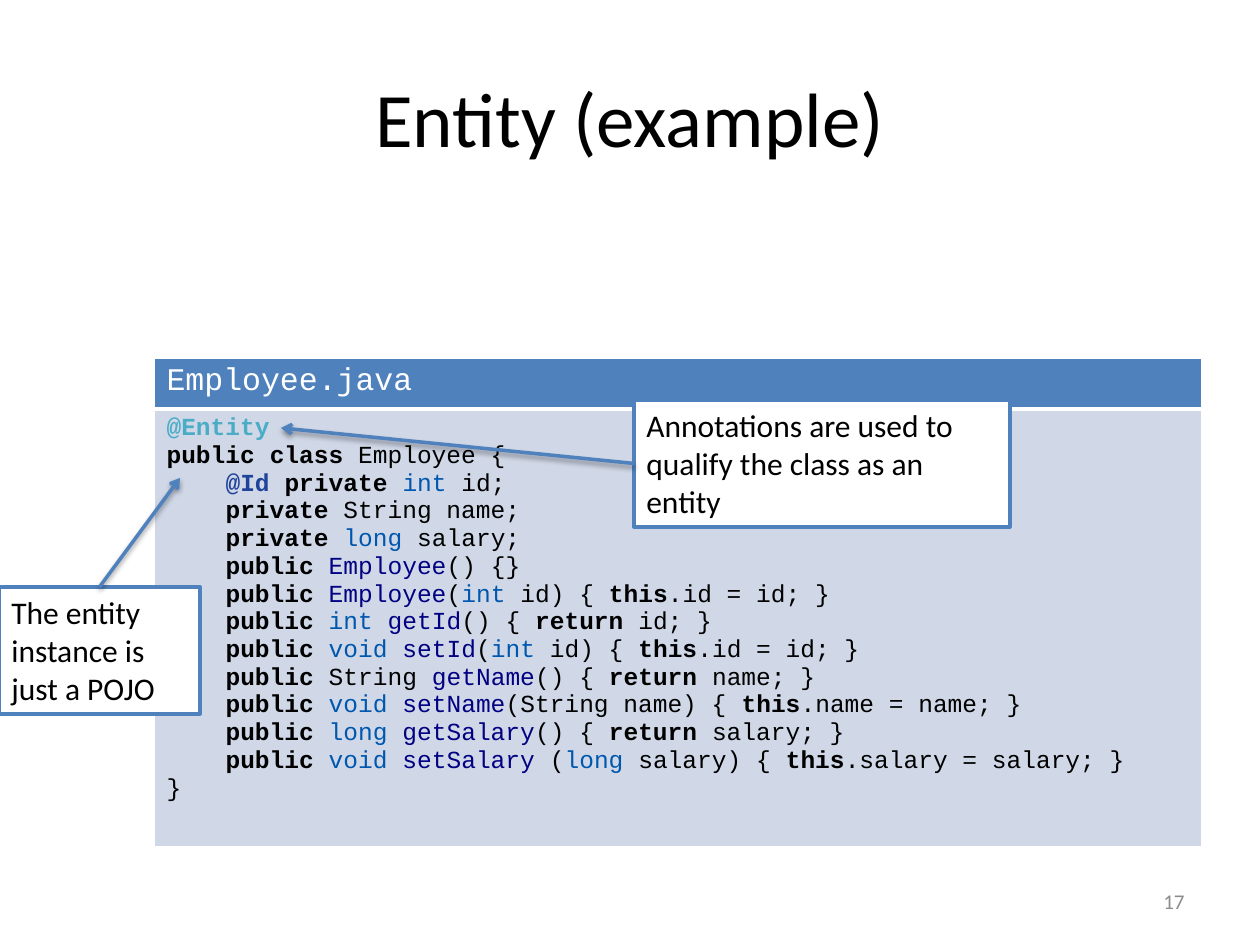
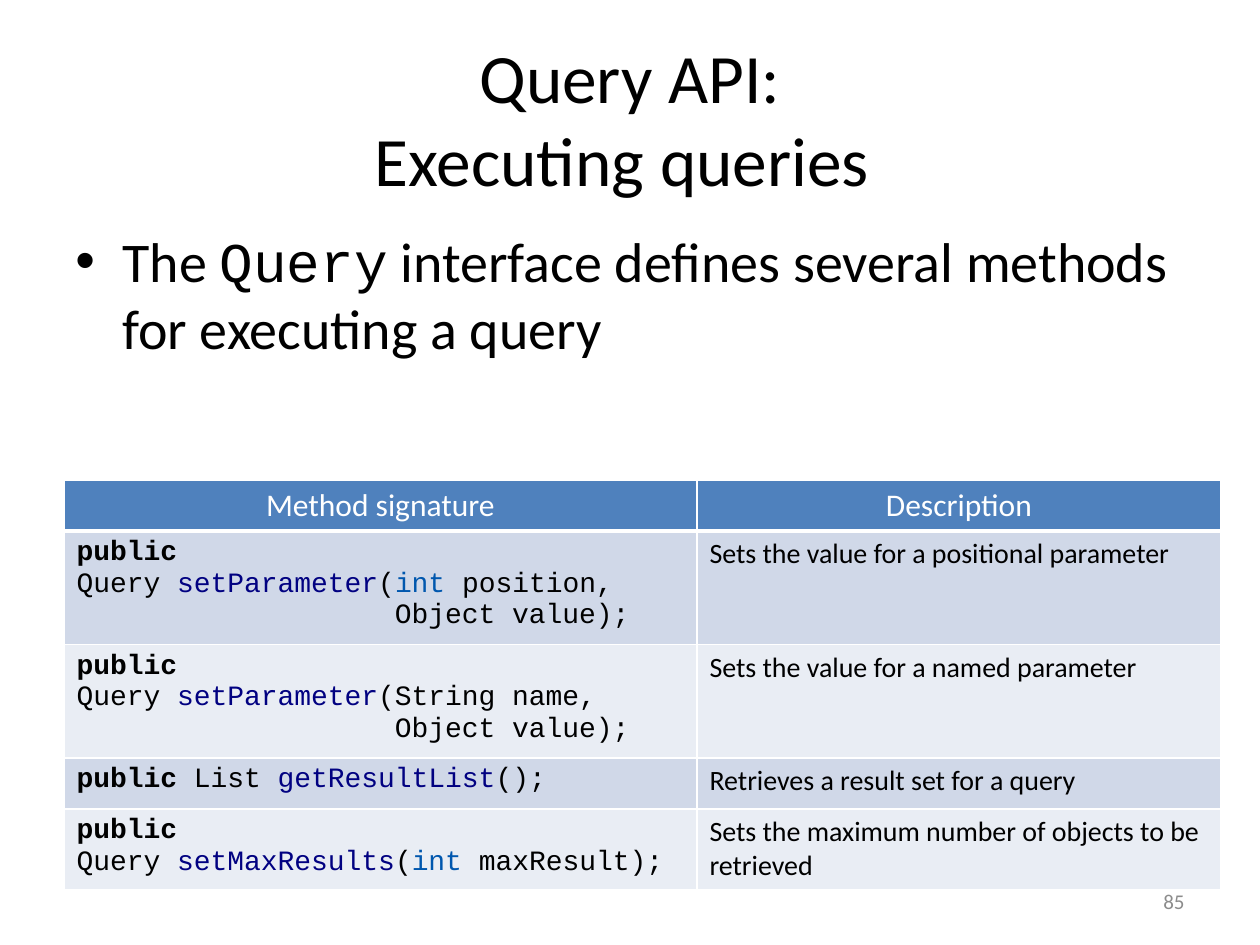
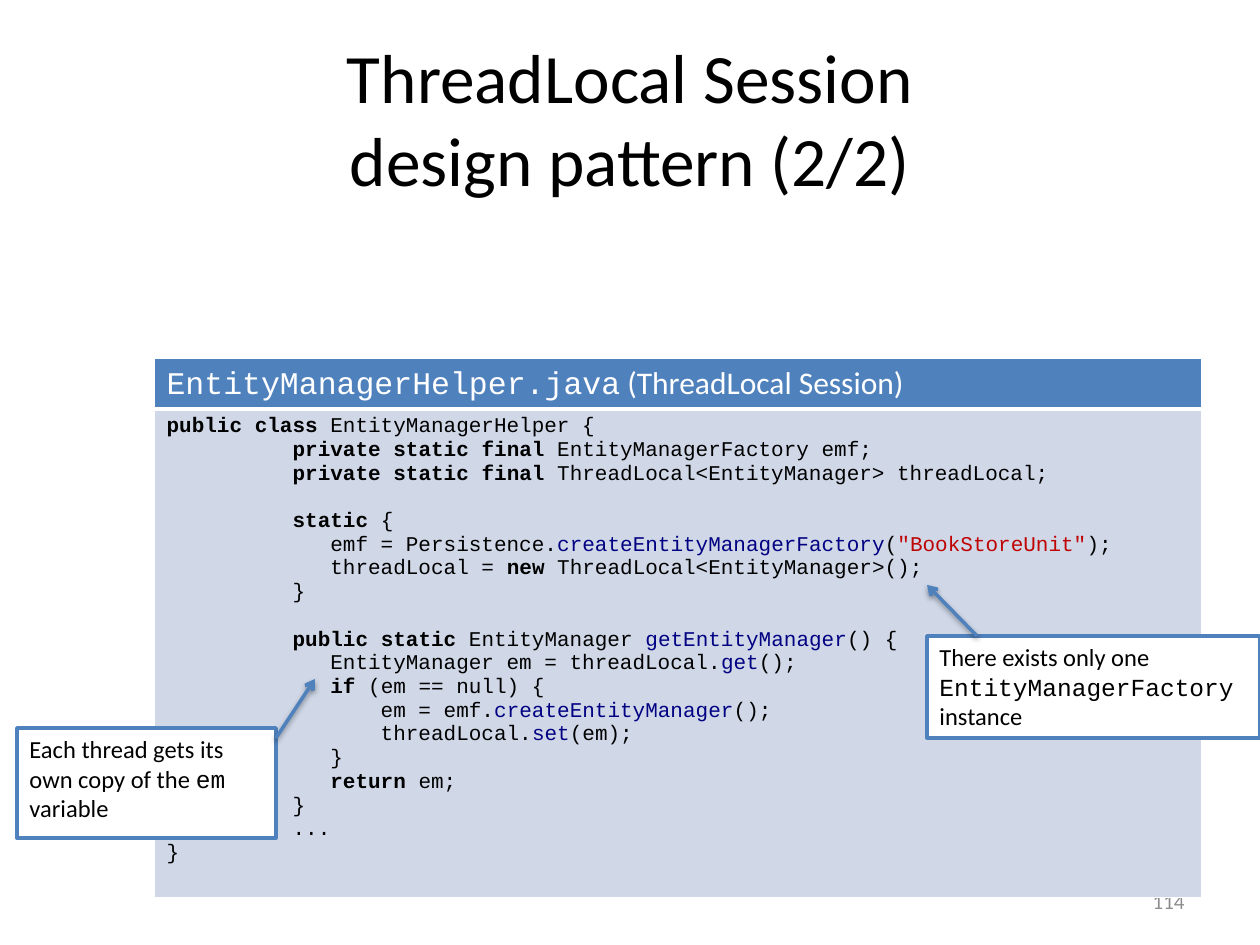
from itertools import groupby

from lxml import etree
from pptx import Presentation
from pptx import util as u
from pptx.dml.color import RGBColor
from pptx.enum import shapes, text
from pptx.oxml.ns import qn

PX_PER_INCH = 126
SANS, MONO = "Calibri", "Courier New"
BLACK, WHITE, GREY = "000000", "FFFFFF", "8C8C8C"
ACCENT, BAND_DARK, BAND_LIGHT = "4F81BD", "D0D8E8", "E9EDF4"
METHOD, TYPE, STRING = "010181", "0057AE", "BF0303"
KEYWORDS = "public private class static final this return new if".split()
TYPES = "int long void".split()
ANNOTATIONS = {"@Entity": "4BACC6", "@Id": "21449B"}
LINE_HEIGHT = 1.13  # height of a code line relative to its font size

EMPLOYEE = """\
@Entity
public class Employee {
    @Id private int id;
    private String name;
    private long salary;
    public Employee() {}
    public Employee(int id) { this.id = id; }
    public int getId() { return id; }
    public void setId(int id) { this.id = id; }
    public String getName() { return name; }
    public void setName(String name) { this.name = name; }
    public long getSalary() { return salary; }
    public void setSalary (long salary) { this.salary = salary; }
}"""

ENTITY_MANAGER_HELPER = """\
public class EntityManagerHelper {
\tprivate static final EntityManagerFactory emf;
\tprivate static final ThreadLocal<EntityManager> threadLocal;

\tstatic {
\t   emf = Persistence.createEntityManagerFactory("BookStoreUnit");
\t   threadLocal = new ThreadLocal<EntityManager>();
\t}

\tpublic static EntityManager getEntityManager() {
\t   EntityManager em = threadLocal.get();
\t   if (em == null) {
\t       em = emf.createEntityManager();
\t       threadLocal.set(em);
\t   }
\t   return em;
\t}
\t...
}"""

QUERY_METHODS = [
    ("""\
public
Query setParameter(int position,
                   Object value);""", "Sets the value for a positional parameter"),
    ("""\
public
Query setParameter(String name,
                   Object value);""", "Sets the value for a named parameter"),
    ("public List getResultList();", "Retrieves a result set for a query"),
    ("""\
public
Query setMaxResults(int maxResult);""", "Sets the maximum number of objects to be retrieved"),
]


def px(length):
    return u.Inches(length / PX_PER_INCH)


def rgb(value):
    return RGBColor.from_string(value)


def add_xml(parent, tag, **attributes):
    return etree.SubElement(parent, qn(tag), {k: str(v) for k, v in attributes.items()})


def set_font(font, size, colour, name=None):
    font.size = u.Pt(size)
    font.color.rgb = rgb(colour)
    if name:
        font.name = name


def write_prose(paragraph, content, size, colour=BLACK, align=text.PP_ALIGN.LEFT):
    """Write sans text in which `backticks` mark monospaced words."""
    paragraph.alignment = align
    pieces = content.split("`")
    set_font(paragraph.font, size, colour, SANS if len(pieces) == 1 else None)
    for index, piece in enumerate(pieces):
        if piece:
            run = paragraph.add_run()
            run.text = piece
            if len(pieces) > 1:
                run.font.name = MONO if index % 2 else SANS


def token_style(token, following):
    """Return the colour and weight of a Java token."""
    if token in KEYWORDS:
        return BLACK, True
    if token in TYPES:
        return TYPE, False
    if token in ANNOTATIONS:
        return ANNOTATIONS[token], True
    if token.startswith('"'):
        return STRING, False
    if token.isalnum() and following.lstrip().startswith("("):
        return METHOD, False
    return BLACK, False


def highlight(line):
    """Yield the pieces of a code line with their colour and weight."""
    tokens = ["".join(chars) for _, chars in
              groupby(line, lambda c: c.isalnum() or c in '@"')]
    styled = [(token, token_style(token, following))
              for token, following in zip(tokens, tokens[1:] + [""])]
    for style, group in groupby(styled, lambda item: item[1]):
        yield "".join(token for token, _ in group), *style


def write_code(frame, code, size):
    """Write highlighted code; an empty line becomes space before the next one."""
    paragraph, gap = frame.paragraphs[0], 0
    for number, line in enumerate(code.splitlines()):
        if not line:
            gap += size * LINE_HEIGHT
            continue
        if number:
            paragraph = frame.add_paragraph()
        if gap:
            paragraph.space_before, gap = u.Pt(gap), 0
        if "\t" in line:
            tabs = add_xml(paragraph._p.get_or_add_pPr(), "a:tabLst")
            add_xml(tabs, "a:tab", pos=u.Inches(1), algn="l")
        set_font(paragraph.font, size, BLACK, MONO)
        for piece, colour, bold in highlight(line):
            run = paragraph.add_run()
            run.text = piece
            if bold:
                run.font.bold = True
            if colour != BLACK:
                run.font.color.rgb = rgb(colour)


def add_textbox(slide, left, top, width, height, anchor=text.MSO_ANCHOR.TOP):
    frame = slide.shapes.add_textbox(px(left), px(top), px(width), px(height)).text_frame
    frame.word_wrap = True
    frame.vertical_anchor = anchor
    return frame


def add_slide(deck, title, title_size, number):
    slide = deck.slides.add_slide(deck.slide_layouts[6])
    heading = add_textbox(slide, 63, 38, 1134, 158, text.MSO_ANCHOR.MIDDLE).paragraphs[0]
    heading.text = title
    heading.alignment = text.PP_ALIGN.CENTER
    set_font(heading.font, title_size, BLACK, SANS)
    footer = add_textbox(slide, 903, 876, 294, 50, text.MSO_ANCHOR.MIDDLE)
    write_prose(footer.paragraphs[0], number, 12, GREY, text.PP_ALIGN.RIGHT)
    return slide


def add_bullet(slide, content):
    paragraph = add_textbox(slide, 63, 220, 1134, 624).paragraphs[0]
    properties = paragraph._p.get_or_add_pPr()
    properties.set("marL", str(px(47)))
    properties.set("indent", str(-px(47)))
    add_xml(properties, "a:buFont", typeface="Arial")
    add_xml(properties, "a:buChar", char="•")
    write_prose(paragraph, content, 32)


def style_cell(cell, fill, bottom_width):
    properties = cell._tc.get_or_add_tcPr()
    for side, width in zip("LRTB", (1, 1, 1, bottom_width)):
        border = add_xml(properties, f"a:ln{side}", w=u.Pt(width))
        add_xml(add_xml(border, "a:solidFill"), "a:srgbClr", val=WHITE)
    cell.fill.solid()
    cell.fill.fore_color.rgb = rgb(fill)


def add_banded_table(slide, left, top, widths, heights):
    table = slide.shapes.add_table(len(heights), len(widths), px(left), px(top),
                                   px(sum(widths)), px(sum(heights))).table
    table.first_row = table.horz_banding = False
    for column, width in zip(table.columns, widths):
        column.width = px(width)
    for index, (row, height) in enumerate(zip(table.rows, heights)):
        row.height = px(height)
        band = BAND_DARK if index % 2 else BAND_LIGHT
        for cell in row.cells:
            style_cell(cell, band if index else ACCENT, 1 if index else 3)
    return table


def add_listing(slide, file_name, code, size, code_height):
    table = add_banded_table(slide, 154, 358, [1048], [51, code_height])
    write_prose(table.cell(0, 0).text_frame.paragraphs[0], file_name, 18, WHITE)
    write_code(table.cell(1, 0).text_frame, code, size)


def add_method_table(slide):
    table = add_banded_table(slide, 64, 480, [633, 524], [51, 108, 108, 51, 81])
    for column, heading in enumerate(("Method signature", "Description")):
        write_prose(table.cell(0, column).text_frame.paragraphs[0], heading, 18, WHITE,
                    text.PP_ALIGN.CENTER)
    for row, (signature, description) in enumerate(QUERY_METHODS, 1):
        write_code(table.cell(row, 0).text_frame, signature, 16)
        write_prose(table.cell(row, 1).text_frame.paragraphs[0], description, 16)


def add_callout(slide, box, content, size, start, tip, side=None):
    """Add a note with an arrow to tip, joined to the given side of the note if any."""
    note = slide.shapes.add_shape(shapes.MSO_SHAPE.RECTANGLE, *map(px, box))
    note.shadow.inherit = False
    note.fill.solid()
    note.fill.fore_color.rgb = rgb(WHITE)
    note.line.color.rgb = rgb(ACCENT)
    note.line.width = u.Pt(2)
    note.text_frame.word_wrap = True
    note.text_frame.vertical_anchor = text.MSO_ANCHOR.TOP
    write_prose(note.text_frame.paragraphs[0], content, size)

    arrow = slide.shapes.add_connector(shapes.MSO_CONNECTOR.STRAIGHT,
                                       *map(px, start + tip))
    if side is not None:
        arrow.begin_connect(note, side)
    arrow.line.color.rgb = rgb(ACCENT)
    arrow.line.width = u.Pt(2)
    add_xml(arrow.line._get_or_add_ln(), "a:tailEnd", type="arrow")
    effects = add_xml(arrow._element.spPr, "a:effectLst")
    shadow = add_xml(effects, "a:outerShdw", blurRad=u.Pt(3.1), dist=u.Pt(1.6),
                     dir=90 * 60000, rotWithShape=0)
    add_xml(add_xml(shadow, "a:srgbClr", val=BLACK), "a:alpha", val=38000)


def main():
    deck = Presentation()
    deck.slide_width, deck.slide_height = px(1260), px(945)

    entity = add_slide(deck, "Entity (example)", 44, "17")
    add_listing(entity, "`Employee.java`", EMPLOYEE, 14, 438)
    add_callout(entity, (634, 400, 376, 127),
                "Annotations are used to qualify the class as an entity", 18,
                (634, 463), (281, 428), side=1)
    add_callout(entity, (-1, 587, 201, 127), "The entity instance is just a POJO", 18,
                (100, 587), (180, 478), side=0)

    query = add_slide(deck, "Query API:\vExecuting queries ", 39.6, "85")
    add_bullet(query, "The `Query` interface defines several methods for executing a query")
    add_method_table(query)

    session = add_slide(deck, "ThreadLocal Session\vdesign pattern (2/2)", 39.6, "114")
    add_listing(session, "`EntityManagerHelper.java` (ThreadLocal Session)",
                ENTITY_MANAGER_HELPER, 12, 462)
    add_callout(session, (17, 728, 259, 110),
                "Each thread gets its own copy of the `em `variable", 14,
                (276, 738), (315, 679))
    add_callout(session, (927, 636, 333, 102),
                "There exists only one `EntityManagerFactory `instance", 14,
                (977, 636), (927, 585))

    deck.save("out.pptx")


if __name__ == "__main__":
    main()
